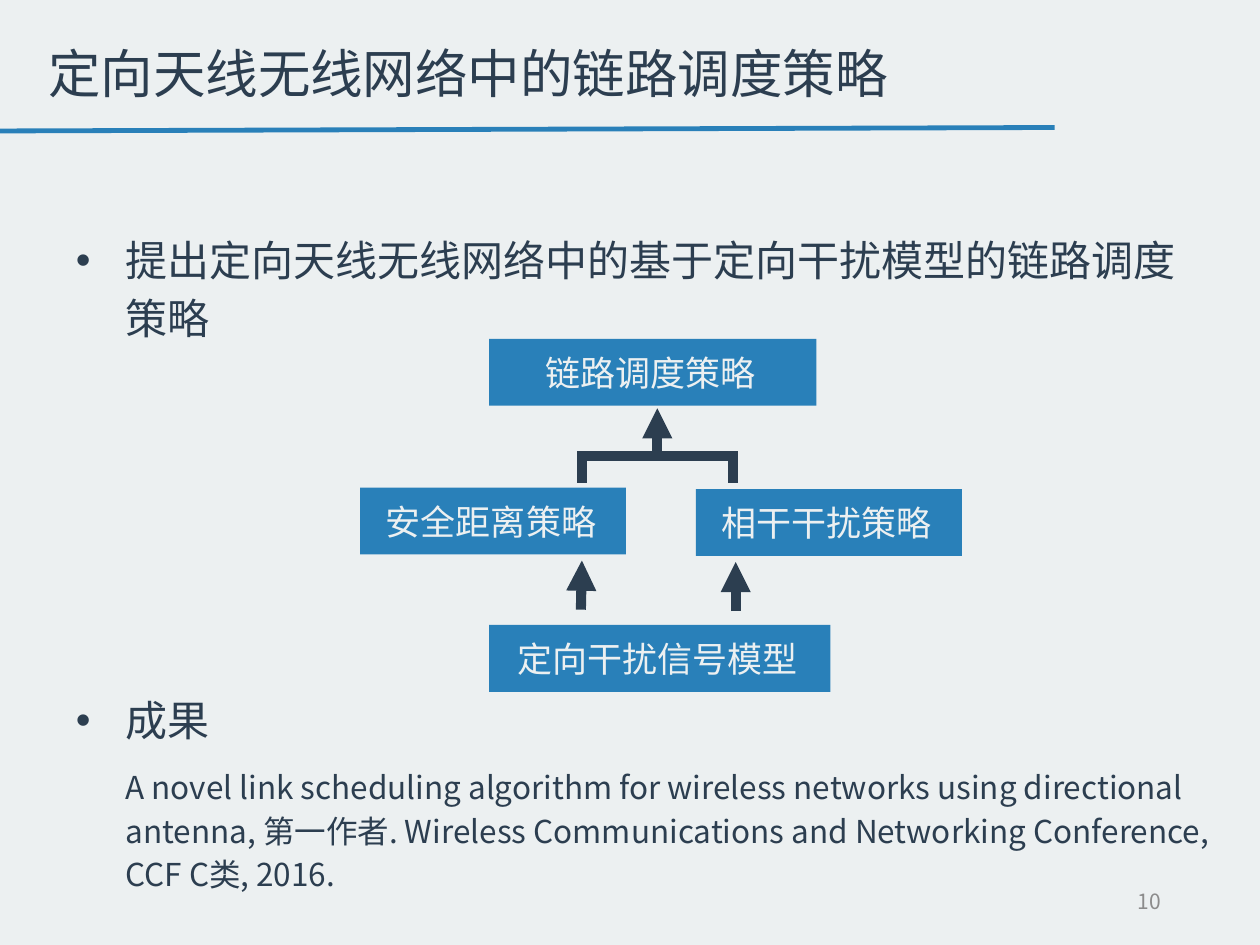
from dataclasses import dataclass

from lxml import etree
from pptx import Presentation
from pptx import util as u
from pptx.dml.color import RGBColor
from pptx.enum import shapes, text
from pptx.oxml.ns import qn


@dataclass(frozen=True)
class Theme:
    """Colours, typeface and type sizes of the talk."""
    paper: str = "ECF0F1"
    ink: str = "2C3E50"
    accent: str = "2980B9"
    muted: str = "8C8C8C"
    font: str = "Noto Sans CJK SC"
    title: int = 30
    point: int = 24
    label: int = 20
    detail: int = 18
    footer: int = 12
    rule: float = 2.75
    arrow: float = 5.75


class SlideBuilder:
    """Draws each kind of element on the current slide in one theme."""

    def __init__(self, slide, theme):
        self.slide = slide
        self.theme = theme
        slide.background.fill.solid()
        slide.background.fill.fore_color.rgb = RGBColor.from_string(theme.paper)

    def style(self, paragraph, size, color, align=text.PP_ALIGN.LEFT, spacing=1.0):
        paragraph.alignment = align
        paragraph.line_spacing = spacing
        for run in paragraph.runs:
            run.font.size = u.Pt(size)
            run.font.name = self.theme.font
            run.font.color.rgb = RGBColor.from_string(color)
            east_asian = etree.SubElement(run.font._element, qn("a:ea"))
            east_asian.set("typeface", self.theme.font)

    def frame(self, left, top, width, height, anchor=text.MSO_ANCHOR.MIDDLE):
        box = self.slide.shapes.add_textbox(*map(u.Cm, (left, top, width, height)))
        box.text_frame.word_wrap = True
        box.text_frame.vertical_anchor = anchor
        return box.text_frame

    def line_of_text(self, place, wording, size, color, align=text.PP_ALIGN.LEFT, spacing=1.0):
        frame = self.frame(*place)
        frame.text = wording
        self.style(frame.paragraphs[0], size, color, align, spacing)

    def points(self, place, entries):
        frame = self.frame(*place, anchor=text.MSO_ANCHOR.TOP)
        for index, (wording, size, gap, bulleted) in enumerate(entries):
            point = frame.add_paragraph() if index else frame.paragraphs[0]
            point.text = wording
            point.space_before = u.Pt(gap)
            self.style(point, size, self.theme.ink, spacing=1.15)
            properties = point._p.get_or_add_pPr()
            properties.set("marL", str(u.Cm(1)))
            properties.set("indent", str(u.Cm(-1 if bulleted else 0)))
            if bulleted:
                etree.SubElement(properties, qn("a:buFont")).set("typeface", "Arial")
                etree.SubElement(properties, qn("a:buChar")).set("char", "•")

    def block(self, left, top, width, wording, height=1.35):
        box = self.slide.shapes.add_shape(
            shapes.MSO_SHAPE.RECTANGLE, *map(u.Cm, (left, top, width, height)))
        box.shadow.inherit = False
        box.fill.solid()
        box.fill.fore_color.rgb = RGBColor.from_string(self.theme.accent)
        box.line.fill.background()
        box.text_frame.text = wording
        box.text_frame.margin_right = u.Cm(0.33)
        box.text_frame.vertical_anchor = text.MSO_ANCHOR.MIDDLE
        self.style(box.text_frame.paragraphs[0], self.theme.label,
                   self.theme.paper, text.PP_ALIGN.CENTER)

    def line(self, start, end, color, width, arrow=False):
        link = self.slide.shapes.add_connector(
            shapes.MSO_CONNECTOR.STRAIGHT, *map(u.Cm, (*start, *end)))
        link.line.color.rgb = RGBColor.from_string(color)
        link.line.width = u.Pt(width)
        if arrow:
            etree.SubElement(link.line._get_or_add_ln(), qn("a:tailEnd")).set("type", "triangle")
        etree.SubElement(link._element.spPr, qn("a:effectLst"))


def main():
    theme = Theme()
    deck = Presentation()
    deck.slide_width, deck.slide_height = u.Cm(25.4), u.Cm(19.05)
    page = SlideBuilder(deck.slides.add_slide(deck.slide_layouts[6]), theme)

    page.points((1.28, 4.45, 23.5, 13.2), [
        ("提出定向天线无线网络中的基于定向干扰模型的链路调度策略", theme.point, 10, True),
        ("成果", theme.point, 196.7, True),
        ("A novel link scheduling algorithm for wireless networks using directional "
         "antenna, 第一作者. Wireless Communications and Networking Conference, "
         "CCF C类, 2016.", theme.detail, 10, False),
    ])
    page.line_of_text((17.93, 17.65, 5.72, 1.02), "10", theme.footer, theme.muted,
                      text.PP_ALIGN.RIGHT)
    page.line_of_text((0.72, -0.05, 22.86, 3.18), "定向天线无线网络中的链路调度策略",
                      theme.title, theme.ink, spacing=0.9)
    page.line((0, 2.64), (21.26, 2.57), theme.accent, theme.rule)

    for left, top, width, strategy in [
        (9.86, 12.6, 6.88, "定向干扰信号模型"),
        (7.26, 9.83, 5.36, "安全距离策略"),
        (14.03, 9.86, 5.36, "相干干扰策略"),
        (9.86, 6.83, 6.6, "链路调度策略"),
    ]:
        page.block(left, top, width, strategy)

    for start, end, arrow in [
        ((11.71, 12.29), (11.73, 11.3), True),
        ((14.83, 12.32), (14.83, 11.33), True),
        ((13.25, 9.25), (13.25, 8.23), True),
        ((11.73, 9.73), (11.73, 9.09), False),
        ((14.78, 9.73), (14.78, 9.19), False),
        ((11.71, 9.19), (14.88, 9.19), False),
    ]:
        page.line(start, end, theme.ink, theme.arrow, arrow)

    deck.save("out.pptx")


if __name__ == "__main__":
    main()
